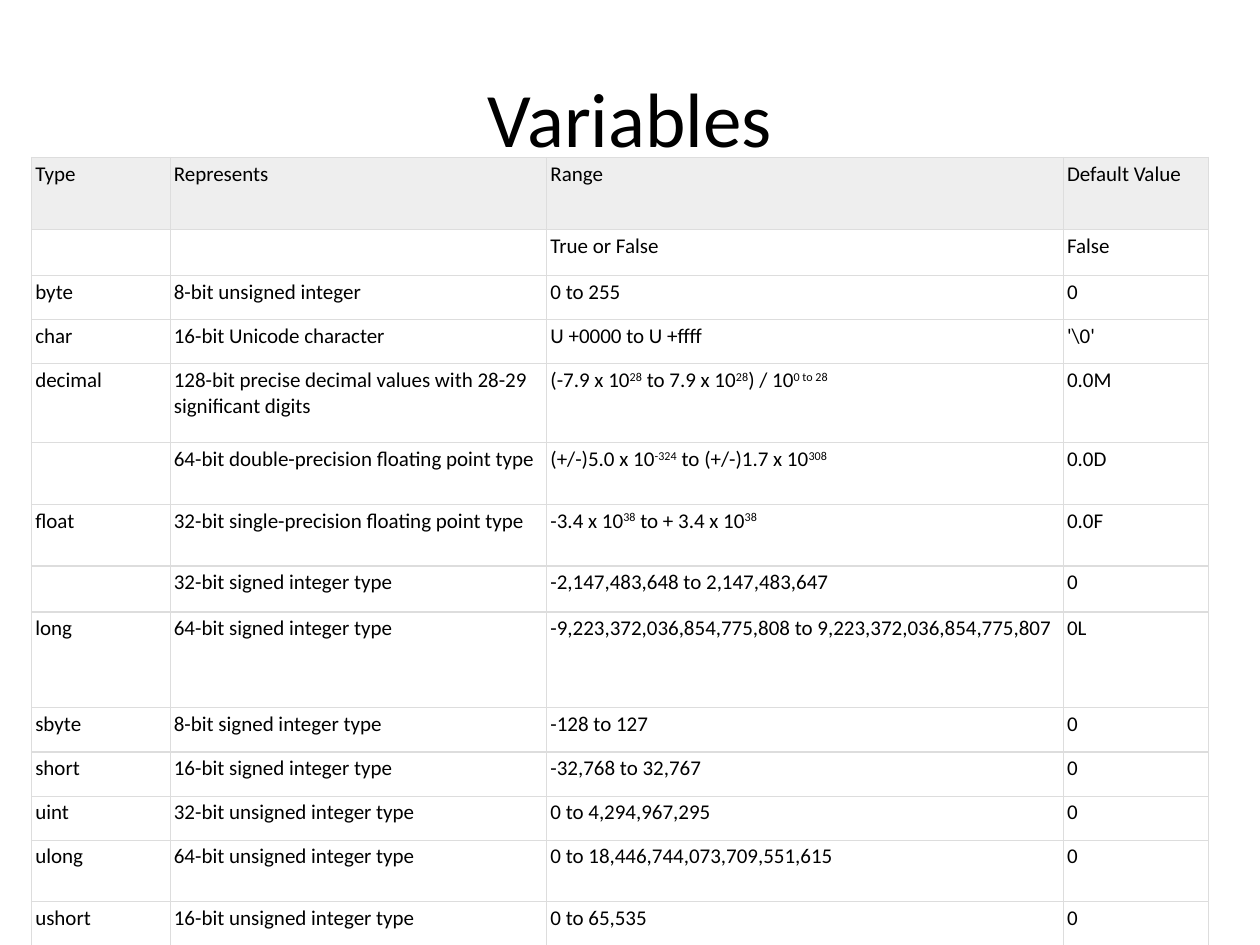
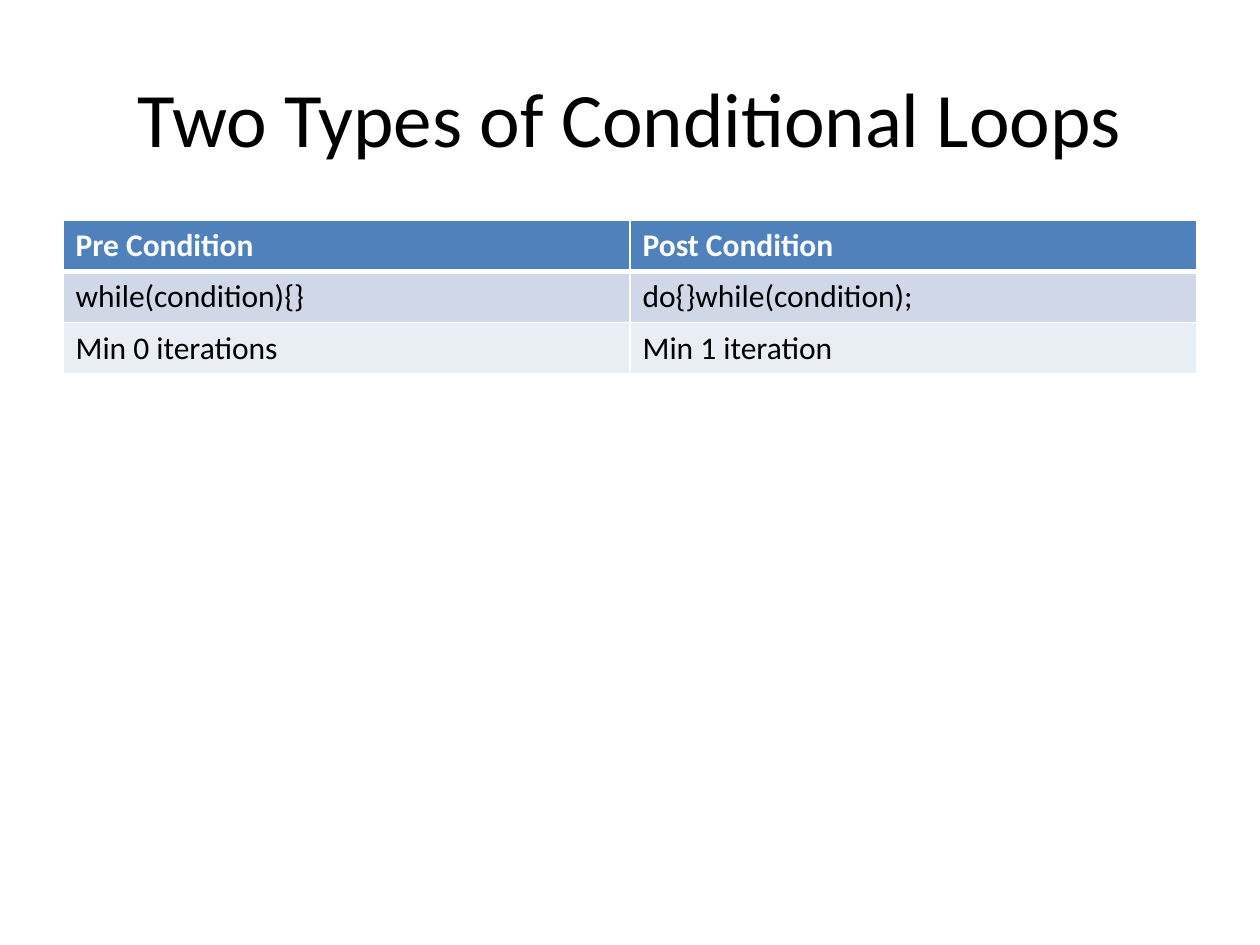
"""Builds two slides: a table of variable types and a table of conditional loops."""
from lxml.etree import SubElement
from pptx import Presentation
from pptx.dml.color import RGBColor
from pptx.enum.text import MSO_ANCHOR, PP_ALIGN
from pptx.oxml.ns import qn
from pptx.util import Pt

FONT = "Calibri"
BLACK, WHITE = "000000", "FFFFFF"

TYPES = [
    ("Type", "Represents", "Range", "Default Value"),
    ("", "", "True or False", "False"),
    ("byte", "8-bit unsigned integer", "0 to 255", "0"),
    ("char", "16-bit Unicode character", "U +0000 to U +ffff", r"'\0'"),
    ("decimal", "128-bit precise decimal values with 28-29 significant digits",
     "(-7.9 x 10^28^ to 7.9 x 10^28^) / 10^0 to 28^", "0.0M"),
    ("", "64-bit double-precision floating point type",
     "(+/-)5.0 x 10^-324^ to (+/-)1.7 x 10^308^", "0.0D"),
    ("float", "32-bit single-precision floating point type",
     "-3.4 x 10^38^ to + 3.4 x 10^38^", "0.0F"),
    ("", "32-bit signed integer type", "-2,147,483,648 to 2,147,483,647", "0"),
    ("long", "64-bit signed integer type",
     "-9,223,372,036,854,775,808 to 9,223,372,036,854,775,807", "0L"),
    ("sbyte", "8-bit signed integer type", "-128 to 127", "0"),
    ("short", "16-bit signed integer type", "-32,768 to 32,767", "0"),
    ("uint", "32-bit unsigned integer type", "0 to 4,294,967,295", "0"),
    ("ulong", "64-bit unsigned integer type", "0 to 18,446,744,073,709,551,615", "0"),
    ("ushort", "16-bit unsigned integer type", "0 to 65,535", "0"),
]
LOOPS = [
    ("Pre Condition", "Post Condition"),
    ("while(condition){}", "do{}while(condition);"),
    ("Min 0 iterations", "Min 1 iteration"),
]

LINE = 25.2
TYPE_HEIGHTS = [41.2, 26.3, LINE, LINE, 45.2, 35.2, 35.2, LINE, 54.8,
                LINE, LINE, LINE, 35.2, LINE]

SLIDES = [
    dict(title="Variables", rows=TYPES, left=18, top=90,
         widths=[79.2, 215.2, 295.2, 82.8], heights=TYPE_HEIGHTS, size=12,
         fills=["EEEEEE"] + [None] * (len(TYPES) - 1), edge="DDDDDD",
         weight=0.75, rule=0.75, margins=(2.16, 2.16)),
    dict(title="Two Types of Conditional Loops", rows=LOOPS, left=36, top=126,
         widths=[324] * 2, heights=[29.2] * 3, size=18,
         fills=["4F81BD", "D0D8E8", "E9EDF4"], edge=WHITE,
         weight=1, rule=3, margins=(7.2, 3.6), head=WHITE, head_bold=True),
]


def rgb(value):
    return RGBColor.from_string(value)


def write(tf, text, size, color=BLACK, bold=False, align=PP_ALIGN.LEFT):
    """Write text in which ^marks^ enclose superscripts."""
    p = tf.paragraphs[0]
    p.alignment = align
    for i, part in enumerate(text.split("^")):
        if part:
            r = p.add_run()
            r.text = part
            r.font.name, r.font.size, r.font.bold = FONT, Pt(size), bold
            r.font.color.rgb = rgb(color)
            if i % 2:
                r.font._element.set("baseline", "30000")


def border(cell, color, weights):
    """Draw the left, right, top and bottom edges of a cell."""
    tcPr = cell._tc.get_or_add_tcPr()
    for side, weight in zip("LRTB", weights):
        ln = SubElement(tcPr, qn(f"a:ln{side}"), w=str(int(Pt(weight))))
        SubElement(SubElement(ln, qn("a:solidFill")), qn("a:srgbClr"), val=color)


def add_grid(s, rows, left, top, widths, heights, size, fills, edge, weight,
             rule, margins, head=BLACK, head_bold=False):
    """Add a table whose header is closed by a line of weight rule."""
    table = s.shapes.add_table(len(rows), len(widths), Pt(left), Pt(top),
                               Pt(sum(widths)), Pt(sum(heights))).table
    table.horz_banding = False
    for column, width in zip(table.columns, widths):
        column.width = Pt(width)
    for i, (row, texts) in enumerate(zip(table.rows, rows)):
        row.height = Pt(heights[i])
        for cell, text in zip(row.cells, texts):
            cell.margin_left = cell.margin_right = Pt(margins[0])
            cell.margin_top = cell.margin_bottom = Pt(margins[1])
            border(cell, edge, (weight, weight, rule if i == 1 else weight,
                                rule if i == 0 else weight))
            if fills[i]:
                cell.fill.solid()
                cell.fill.fore_color.rgb = rgb(fills[i])
            else:
                cell.fill.background()
            write(cell.text_frame, text, size, color=BLACK if i else head,
                  bold=head_bold and i == 0)


def add_slide(prs, title, **grid):
    s = prs.slides.add_slide(prs.slide_layouts[5])
    sp = s.shapes.title
    sp.left, sp.top, sp.width, sp.height = Pt(36), Pt(21.6), Pt(648), Pt(90)
    sp.text_frame.vertical_anchor = MSO_ANCHOR.MIDDLE
    write(sp.text_frame, title, 44, align=PP_ALIGN.CENTER)
    add_grid(s, **grid)


def main():
    prs = Presentation()
    prs.slide_width, prs.slide_height = Pt(720), Pt(540)
    for slide in SLIDES:
        add_slide(prs, **slide)
    prs.save("out.pptx")


if __name__ == "__main__":
    main()
